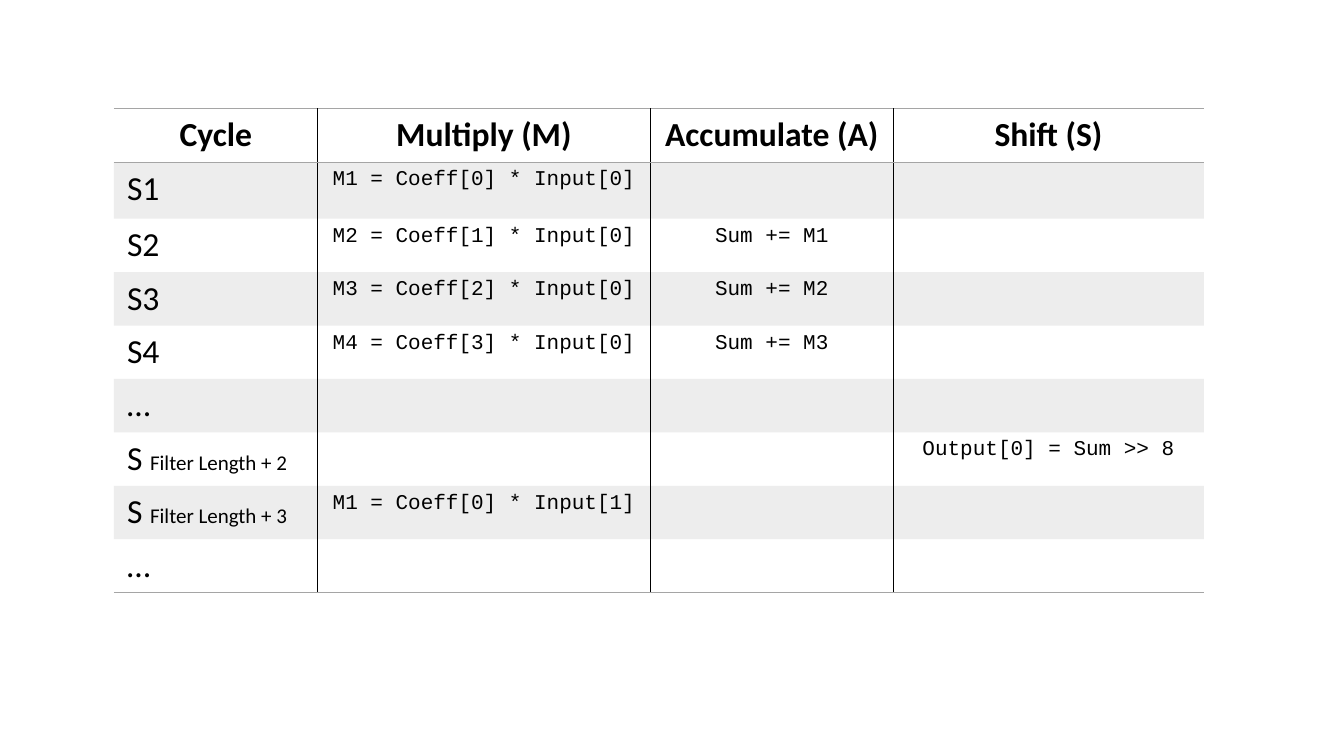
from lxml import etree
from pptx import Presentation
from pptx.dml.color import RGBColor
from pptx.enum.text import PP_ALIGN
from pptx.oxml.ns import qn
from pptx.util import Inches, Pt

LEFT, CENTER = PP_ALIGN.LEFT, PP_ALIGN.CENTER
COLORS = {"text": "000000", "divider": "000000", "rule": "A5A5A5", "band": "A5A5A5"}
PLAIN_STYLE = "{2D5ABB26-0587-4C30-8999-92F81FD0307C}"
HEADING = {"name": "Calibri", "size": Pt(24), "bold": True}
CYCLE = {"name": "Calibri", "size": Pt(24), "bold": False}
SUBSCRIPT = {"name": "Calibri", "size": Pt(15), "bold": False}
CODE = {"name": "Courier New", "size": Pt(15), "bold": False}
MARGINS = {
    "margin_left": Inches(0.13), "margin_right": Inches(0.13),
    "margin_top": Inches(0.06), "margin_bottom": Inches(0.06),
}

column_widths = [2.02, 3.3, 2.41, 3.08]
row_heights = [0.53, 0.56] + [0.53] * 7
schedule = [
    ["Cycle", "Multiply (M)", "Accumulate (A)", "Shift (S)"],
    ["S1", "M1 = Coeff[0] * Input[0]", "", ""],
    ["S2", "M2 = Coeff[1] * Input[0]", "Sum += M1", ""],
    ["S3", "M3 = Coeff[2] * Input[0]", "Sum += M2", ""],
    ["S4", "M4 = Coeff[3] * Input[0]", "Sum += M3", ""],
    ["…", "", "", ""],
    ["S |Filter Length + 2", "", "", "Output[0] = Sum >> 8"],
    ["S |Filter Length + 3", "M1 = Coeff[0] * Input[1]", "", ""],
    ["…", "", "", ""],
]
last_row, last_column = len(schedule) - 1, len(column_widths) - 1


def add_border(cell, side, color):
    line = etree.SubElement(cell._tc.get_or_add_tcPr(), qn("a:ln" + side), w=str(Pt(1)))
    if color is None:
        etree.SubElement(line, qn("a:noFill"))
    else:
        fill = etree.SubElement(line, qn("a:solidFill"))
        etree.SubElement(fill, qn("a:srgbClr"), val=COLORS[color])


def add_run(paragraph, text, style):
    run = paragraph.add_run()
    run.text = text
    for attribute, value in style.items():
        setattr(run.font, attribute, value)
    run.font.color.rgb = RGBColor.from_string(COLORS["text"])


presentation = Presentation()
presentation.slide_width, presentation.slide_height = Inches(13.33), Inches(7.5)
slide = presentation.slides.add_slide(presentation.slide_layouts[6])

table = slide.shapes.add_table(
    len(schedule), len(column_widths), Inches(1.13), Inches(1.08),
    Inches(sum(column_widths)), Inches(sum(row_heights)),
).table
table._tbl.tblPr.find(qn("a:tableStyleId")).text = PLAIN_STYLE
table.horz_banding = False
for column, width in zip(table.columns, column_widths):
    column.width = Inches(width)
for row, height in zip(table.rows, row_heights):
    row.height = Inches(height)

for row_index, entries in enumerate(schedule):
    for column_index, text in enumerate(entries):
        cell = table.cell(row_index, column_index)
        for attribute, value in MARGINS.items():
            setattr(cell, attribute, value)

        borders = {
            "L": "divider" if column_index > 0 else None,
            "R": "divider" if column_index < last_column else None,
            "T": "rule" if row_index in (0, 1) else None,
            "B": "rule" if row_index in (0, last_row) else None,
        }
        for side, color in borders.items():
            add_border(cell, side, color)

        if row_index % 2:
            cell.fill.solid()
            cell.fill.fore_color.rgb = RGBColor.from_string(COLORS["band"])
            band_color = cell._tc.tcPr.find(qn("a:solidFill")).find(qn("a:srgbClr"))
            etree.SubElement(band_color, qn("a:alpha"), val="20000")
        else:
            cell.fill.background()

        if text:
            style = HEADING if row_index == 0 else CODE if column_index else CYCLE
            paragraph = cell.text_frame.paragraphs[0]
            paragraph.alignment = LEFT if style is CYCLE else CENTER
            label, _, subscript = text.partition("|")
            add_run(paragraph, label, style)
            if subscript:
                add_run(paragraph, subscript, SUBSCRIPT)

presentation.save("out.pptx")
